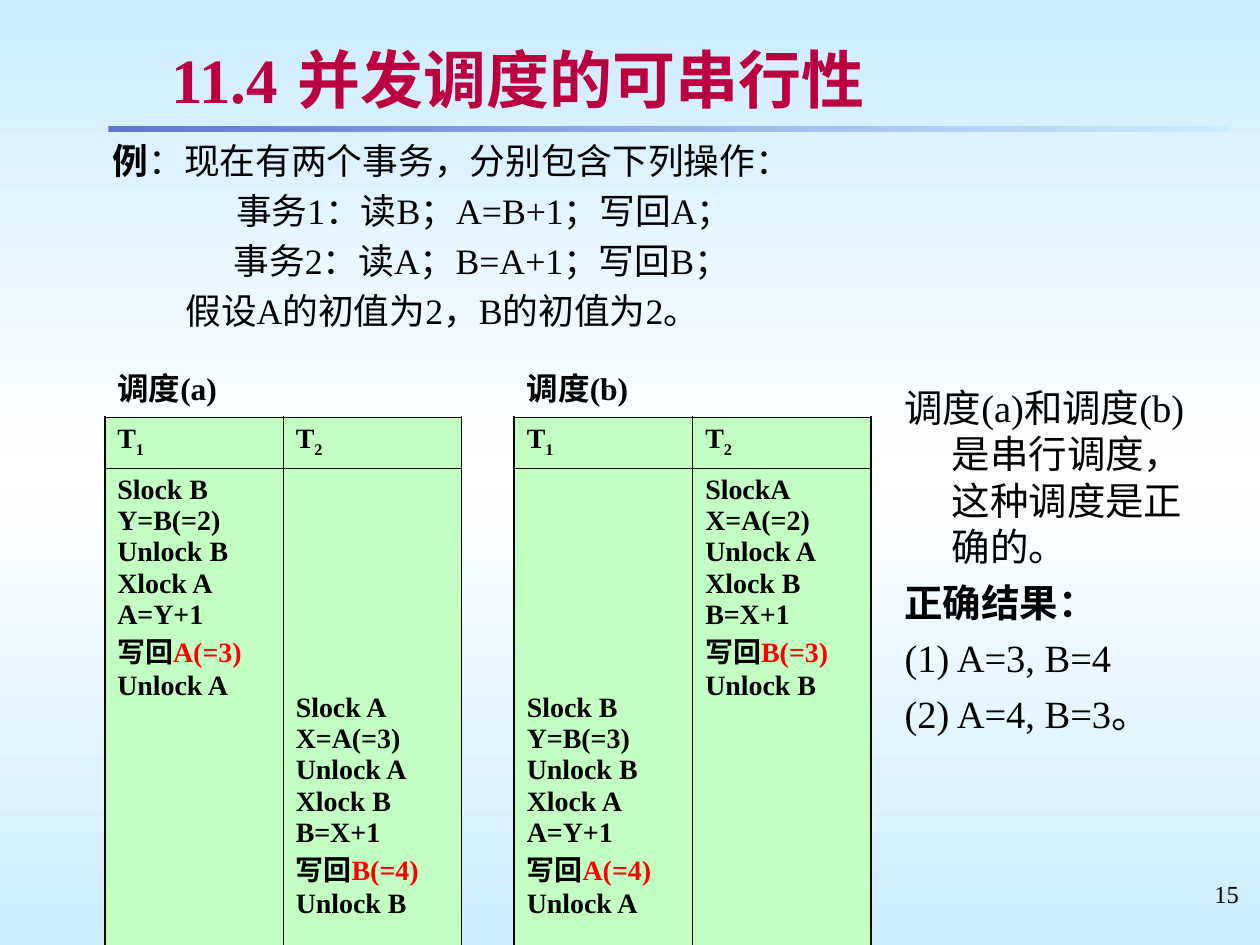
"""Build the slide on serial schedules of two transactions."""
import pptx
import pptx.dml.color
import pptx.enum.shapes
import pptx.enum.text
import pptx.oxml
import pptx.oxml.ns
import pptx.util
from lxml import etree

Pt = pptx.util.Pt
qn = pptx.oxml.ns.qn
SPACE = pptx.oxml.ns.nsdecls("a")
ALIGN = pptx.enum.text.PP_ALIGN
MIDDLE = pptx.enum.text.MSO_ANCHOR.MIDDLE
RED = {"hue": "FF0000"}
BOLD = {"bold": True}


def color(code):
    return pptx.dml.color.RGBColor.from_string(code)


def node(text):
    return pptx.oxml.parse_xml(text.replace(">", f" {SPACE}>", 1))


def blend(fill, root, stops, angle):
    fill.gradient()
    fill.gradient_angle = angle
    group = root.find(".//" + qn("a:gsLst"))
    for stop in list(group):
        group.remove(stop)
    for place, code in stops:
        stop = etree.SubElement(group, qn("a:gs"), pos=str(place * 1000))
        etree.SubElement(stop, qn("a:srgbClr"), val=code)


def write(frame, lines, align=ALIGN.LEFT, gap=0, left=0, hang=0, tab=None, **base):
    for num, line in enumerate(lines):
        para = frame.paragraphs[0] if num == 0 else frame.add_paragraph()
        para.alignment = align
        para.space_before = Pt(gap if num else 0)
        props = para._p.get_or_add_pPr()
        inset = left[num] if isinstance(left, list) else left
        props.set("marL", str(Pt(inset)))
        props.set("indent", str(Pt(-hang)))
        props.append(node("<a:buNone></a:buNone>"))
        if tab:
            props.append(node(f'<a:tabLst><a:tab pos="{Pt(tab)}" algn="l"/></a:tabLst>'))
        for part in [line] if isinstance(line, str) else line:
            text, extra = (part, {}) if isinstance(part, str) else part
            style(para.add_run(), text, **{**base, **extra})


def style(run, text, size=16, hue="000000", bold=False, base=0, shade=None):
    run.text = text
    run.font.size = Pt(size)
    run.font.bold = bold
    run.font.name = "Times New Roman"
    run.font.color.rgb = color(hue)
    props = run._r.get_or_add_rPr()
    props.set("lang", "zh-CN")
    if base:
        props.set("baseline", str(base * 1000))
    if shade:
        props.find(qn("a:solidFill")).addnext(node(
            f'<a:effectLst><a:outerShdw dist="{Pt(2)}" dir="2700000">'
            f'<a:srgbClr val="{shade}"/></a:outerShdw></a:effectLst>'))


class Page:
    def __init__(self, deck):
        self.slide = deck.slides.add_slide(deck.slide_layouts[1])
        self.pale = "CCECFF"
        self.green = "C3FFC3"
        self.thick = 1.08
        self.thin = 0.45

    def back(self):
        stops = [(0, self.pale), (50, "FFFFFF"), (100, self.pale)]
        blend(self.slide.background.fill, self.slide._element, stops, 90)

    def bar(self, x, y, w, h):
        kind = pptx.enum.shapes.MSO_SHAPE.RECTANGLE
        shape = self.slide.shapes.add_shape(kind, Pt(x), Pt(y), Pt(w), Pt(h))
        shape.shadow.inherit = False
        shape.line.fill.background()
        blend(shape.fill, shape._element, [(0, "5F76D7"), (100, self.pale)], 0)

    def holder(self, index, box, lines, pad, anchor=None, **form):
        shape = self.slide.placeholders[index]
        shape.left, shape.top, shape.width, shape.height = map(Pt, box)
        self.fill(shape.text_frame, lines, pad, anchor, **form)

    def note(self, box, lines, **form):
        shape = self.slide.shapes.add_textbox(*map(Pt, box))
        self.fill(shape.text_frame, lines, 3.6, None, **form)

    def fill(self, frame, lines, pad, anchor, **form):
        frame.word_wrap = True
        frame.auto_size = pptx.enum.text.MSO_AUTO_SIZE.NONE
        frame.margin_left = frame.margin_right = Pt(7.2)
        frame.margin_top = frame.margin_bottom = Pt(pad)
        frame.vertical_anchor = anchor or pptx.enum.text.MSO_ANCHOR.TOP
        write(frame, lines, **form)

    def edge(self, cell, widths):
        props = cell._tc.get_or_add_tcPr()
        for spot, (side, width) in enumerate(zip("LRTB", widths)):
            paint = '<a:solidFill><a:srgbClr val="000000"/></a:solidFill>' if width else "<a:noFill/>"
            props.insert(spot, node(f'<a:ln{side} w="{Pt(width)}">{paint}</a:ln{side}>'))

    def cell(self, cell, lines, widths, fill=None, top=3.6, **form):
        cell.margin_left = cell.margin_right = Pt(7.2)
        cell.margin_top, cell.margin_bottom = Pt(top), Pt(3.6)
        if fill:
            cell.fill.solid()
            cell.fill.fore_color.rgb = color(fill)
        else:
            cell.fill.background()
        self.edge(cell, widths)
        write(cell.text_frame, lines, bold=True, **form)

    def table(self, x, name, steps, late):
        wide, rows = 102, [34, 29.2, 276]
        frame = self.slide.shapes.add_table(3, 2, Pt(x), Pt(204.5), Pt(2 * wide), Pt(sum(rows)))
        grid = frame.table
        grid.first_row = grid.horz_banding = False
        for row, tall in zip(grid.rows, rows):
            row.height = Pt(tall)
        grid.cell(0, 0).merge(grid.cell(0, 1))
        self.cell(grid.cell(0, 0), [name], (0, 0, 0, self.thick), size=18)
        self.cell(grid.cell(0, 1), [], (0, 0, 0, self.thick))
        for col in range(2):
            grid.columns[col].width = Pt(wide)
            sides = (self.thin, self.thick) if col else (self.thick, self.thin)
            head = [["T", (str(col + 1), {"base": -25})]]
            self.cell(grid.cell(1, col), head, (*sides, self.thick, self.thin), self.green)
            self.cell(grid.cell(2, col), steps[col], (*sides, self.thin, self.thick),
                      self.green, top=128.2 if col == late else 3.6)


def steps(first, read, calc, last, lock):
    source, target = read[2], last[0]
    return [first, read, f"Unlock {source}", f"Xlock {target}", calc,
            ["写回", (last, RED)], f"Unlock {lock}"]


def main():
    deck = pptx.Presentation()
    deck.slide_width, deck.slide_height = Pt(720), Pt(540)
    page = Page(deck)
    page.back()
    page.bar(62, 72, 640, 3.6)
    page.note((547.2, 499, 167.8, 37.4), ["15"], size=14, align=ALIGN.RIGHT)
    page.holder(0, (90.7, 20.9, 593.3, 48.2), ["11.4\t并发调度的可串行性"], 2.9, MIDDLE,
                size=36, hue="BA003E", bold=True, tab=88, shade="B9C3CC")
    page.holder(1, (30.2, 77.8, 666, 120.2), [
        [("例", BOLD), "：现在有两个事务，分别包含下列操作："],
        "事务1：读B；A=B+1；写回A；",
        "事务2：读A；B=A+1；写回B；",
        "假设A的初值为2，B的初值为2。",
    ], 1.5, size=20.4, gap=4.1, left=[27, 97.5, 96, 68.5])
    page.table(59.8, "调度(a)", [
        steps("Slock B", "Y=B(=2)", "A=Y+1", "A(=3)", "A"),
        steps("Slock A", "X=A(=3)", "B=X+1", "B(=4)", "B")], late=1)
    page.table(293.8, "调度(b)", [
        steps("Slock B", "Y=B(=3)", "A=Y+1", "A(=4)", "A"),
        steps("SlockA", "X=A(=2)", "B=X+1", "B(=3)", "B")], late=0)
    page.note((509.8, 216, 184.3, 293.8), [
        "调度(a)和调度(b)是串行调度，这种调度是正确的。",
        [("正确结果：", BOLD)],
        "(1) A=3, B=4",
        "(2) A=4, B=3。",
    ], size=22, gap=5.5, left=27, hang=27)
    deck.save("out.pptx")


if __name__ == "__main__":
    main()
